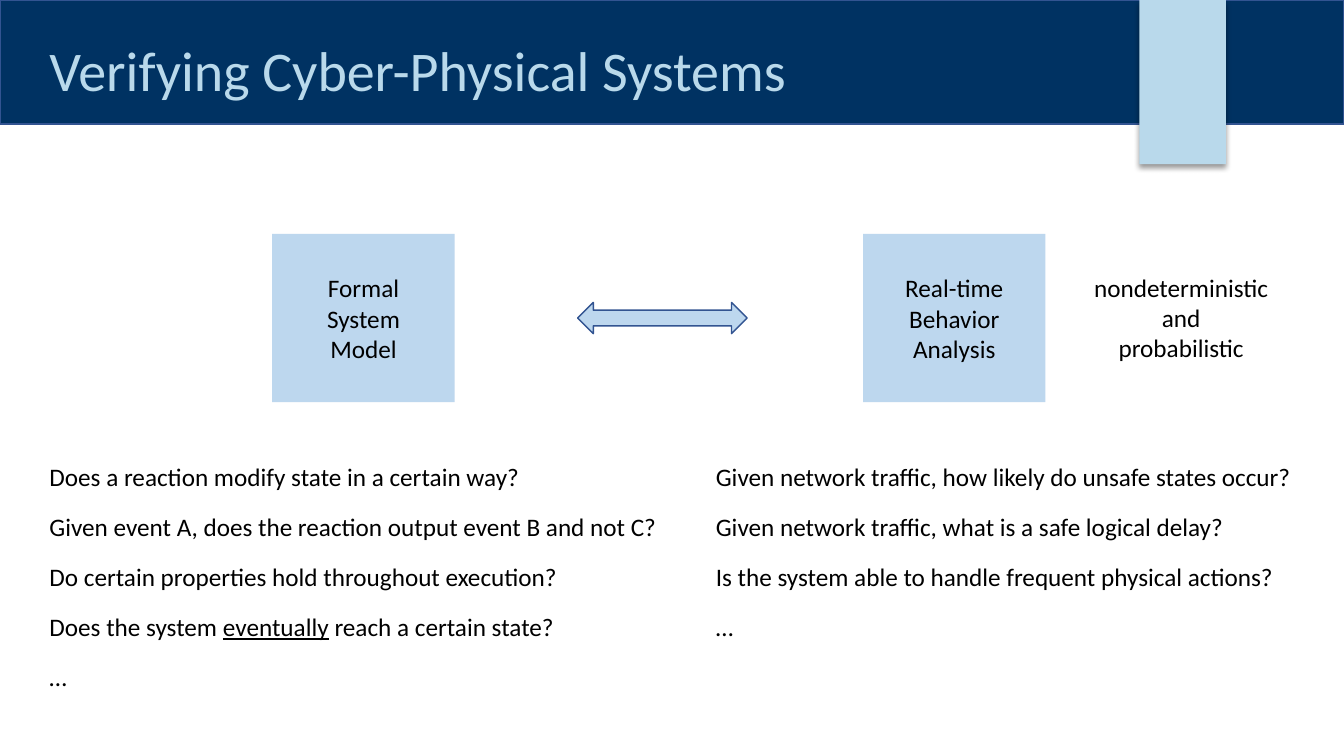
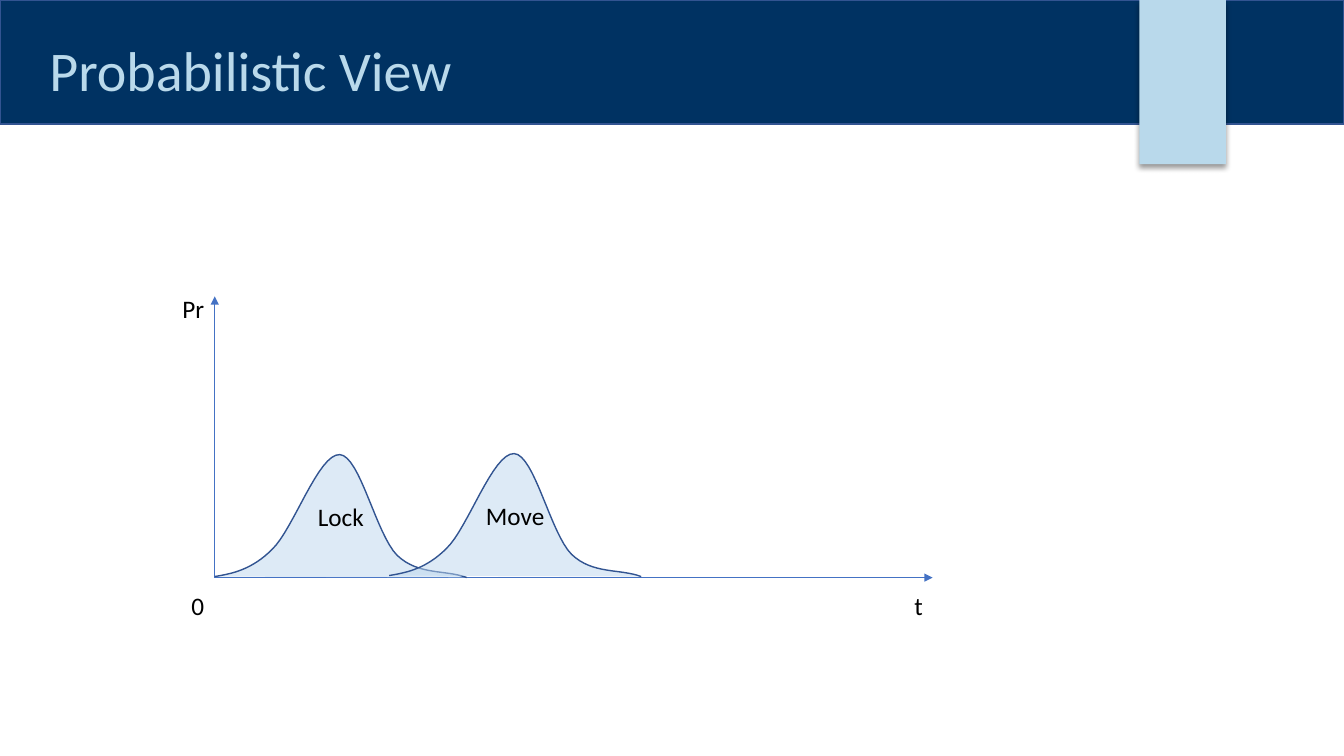
"""Build two slides on verifying cyber-physical systems."""
from dataclasses import dataclass

from lxml.etree import SubElement as Sub
from pptx import Presentation
from pptx.dml.color import RGBColor as Rgb
from pptx.enum.shapes import MSO_CONNECTOR as Link, MSO_SHAPE as Kind
from pptx.enum.text import MSO_ANCHOR as Anchor, MSO_AUTO_SIZE as Fit, PP_ALIGN as Align
from pptx.oxml.ns import qn
from pptx.util import Inches, Pt


@dataclass(frozen=True)
class Theme:
    font: str = "Calibri"
    navy: str = "003262"
    sky: str = "B9D9EB"
    pale: str = "BDD7EE"
    edge: str = "325491"
    axis: str = "4472C4"
    ink: str = "000000"
    head: int = 40
    text: int = 18
    gap: int = 14


THEME = Theme()
TWO_LISTS, TITLE_ONLY = 3, 5

VERIFY = "Verifying Cyber-Physical Systems"
BOXES = [
    (2.7, ["Formal", "System", "Model"]),
    (8.56, ["Real-time", "Behavior", "Analysis"]),
]
ASIDE = ["nondeterministic", "and", "probabilistic"]
LISTS = [
    (0.39, 6.6, [
        "Does a reaction modify state in a certain way?",
        "Given event A, does the reaction output event B and not C?",
        "Do certain properties hold throughout execution?",
        "Does the system _eventually_ reach a certain state?",
        "…",
    ]),
    (7, 6.3, [
        "Given network traffic, how likely do unsafe states occur?",
        "Given network traffic, what is a safe logical delay?",
        "Is the system able to handle frequent physical actions?",
        "…",
    ]),
]

VIEW = "Probabilistic View"
ORIGIN = (2.13, 5.73)
TIPS = [(2.13, 2.94), (9.25, 5.73)]
MARKS = [("Pr", 1.71, 2.86, 0.42), ("t", 8.97, 5.81, 0.29), ("0", 1.8, 5.81, 0.33)]
BELLS = [("Lock", 2.13, 5.72), ("Move", 3.86, 5.71)]
CURVE = [
    (0, 0), (0.18, -0.03), (0.37, -0.07), (0.57, -0.27),
    (0.78, -0.47), (1.03, -1.22), (1.24, -1.21),
    (1.44, -1.2), (1.6, -0.42), (1.81, -0.21),
    (2.02, -0.01), (2.29, -0.07), (2.5, 0.01),
]
STEPS = 16


def color(code):
    return Rgb.from_string(code)


def place(shape, left, top, width, height):
    shape.left, shape.top = Inches(left), Inches(top)
    shape.width, shape.height = Inches(width), Inches(height)


def write(shape, lines, size=THEME.text, ink=THEME.ink, align=Align.LEFT,
          anchor=Anchor.TOP, wrap=True, space=None, after=0):
    """Fill a shape with lines; underscores enclose underlined words."""
    frame = shape.text_frame
    frame.word_wrap, frame.auto_size = wrap, Fit.NONE
    frame.vertical_anchor = anchor
    for row, line in enumerate(lines):
        para = frame.add_paragraph() if row else frame.paragraphs[0]
        para.alignment, para.line_spacing = align, space
        para.space_before, para.space_after = Pt(0), Pt(after)
        for part, words in enumerate(line.split("_")):
            run = para.add_run()
            run.text = words
            font = run.font
            font.name, font.size = THEME.font, Pt(size)
            font.color.rgb = color(ink)
            if part % 2:
                font.underline = True


def paint(shape, fill, edge=None):
    shape.shadow.inherit = False
    shape.fill.solid()
    shape.fill.fore_color.rgb = color(fill)
    if edge:
        shape.line.color.rgb = color(edge)
        shape.line.width = Pt(1)
    else:
        shape.line.fill.background()
    return shape


def block(slide, kind, area, fill, edge=None):
    return paint(slide.shapes.add_shape(kind, *map(Inches, area)), fill, edge)


def label(slide, area, lines, **style):
    write(slide.shapes.add_textbox(*map(Inches, area)), lines, wrap=False, **style)


def shade(shape):
    glow = shape.element.spPr.find(qn("a:effectLst"))
    drop = Sub(glow, qn("a:outerShdw"), blurRad=str(Pt(4)), dist=str(Pt(3)),
               dir="5400000", algn="t", rotWithShape="0")
    tint = Sub(drop, qn("a:srgbClr"), val=THEME.ink)
    Sub(tint, qn("a:alpha"), val="40000")


def start(deck, layout, title):
    slide = deck.slides.add_slide(deck.slide_layouts[layout])
    head = slide.shapes.title
    place(head, 0.39, 0.15, 10.51, 0.93)
    write(head, [title], size=THEME.head, ink=THEME.sky, anchor=Anchor.BOTTOM, space=0.9)
    band = block(slide, Kind.RECTANGLE, (0, 0, 13.33, 1.23), THEME.navy, THEME.edge)
    head.element.addprevious(band.element)
    shade(block(slide, Kind.RECTANGLE, (11.3, 0, 0.86, 1.63), THEME.sky))
    return slide


def bare(shape):
    for prop in shape.element.iter(qn("a:pPr")):
        prop.set("marL", "0")
        prop.set("indent", "0")
        Sub(prop, qn("a:buNone"))


def arrow(slide, tip):
    line = slide.shapes.add_connector(Link.STRAIGHT, *map(Inches, ORIGIN + tip))
    line.line.color.rgb = color(THEME.axis)
    line.line.width = Pt(0.5)
    props = line.element.spPr
    Sub(props.find(qn("a:ln")), qn("a:tailEnd"), type="triangle")
    Sub(props, qn("a:effectLst"))


def trace(points):
    """Sample a chain of cubic curves."""
    for first in range(0, len(points) - 1, 3):
        knots = points[first:first + 4]
        for step in range(1, STEPS + 1):
            t = step / STEPS
            parts = ((1 - t) ** 3, 3 * t * (1 - t) ** 2, 3 * t * t * (1 - t), t ** 3)
            yield tuple(sum(w * k[i] for w, k in zip(parts, knots)) for i in (0, 1))


def bell(slide, name, left, base):
    pen = slide.shapes.build_freeform(Inches(left), Inches(base))
    pen.add_line_segments(
        [(Inches(left + x), Inches(base + y)) for x, y in trace(CURVE)], close=False)
    hill = paint(pen.convert_to_shape(), THEME.pale, THEME.edge)
    tint = hill.element.spPr.find(qn("a:solidFill")).find(qn("a:srgbClr"))
    Sub(tint, qn("a:alpha"), val="50000")
    write(hill, [name], align=Align.CENTER, anchor=Anchor.MIDDLE)


def verify(deck):
    slide = start(deck, TWO_LISTS, VERIFY)
    for left, lines in BOXES:
        box = block(slide, Kind.RECTANGLE, (left, 2.32, 1.81, 1.67), THEME.pale)
        write(box, lines, align=Align.CENTER, anchor=Anchor.MIDDLE)
    bodies = [item for item in slide.placeholders if item.placeholder_format.idx]
    for body, (left, width, lines) in zip(bodies, LISTS):
        place(body, left, 4.53, width, 2.45)
        write(body, lines, after=THEME.gap)
        bare(body)
    label(slide, (10.71, 2.65, 2.01, 1.01), ASIDE, align=Align.CENTER)
    block(slide, Kind.LEFT_RIGHT_ARROW, (5.73, 3, 1.68, 0.31), THEME.pale, THEME.edge)


def view(deck):
    slide = start(deck, TITLE_ONLY, VIEW)
    for tip in TIPS:
        arrow(slide, tip)
    for name, left, base in BELLS:
        bell(slide, name, left, base)
    for name, left, top, width in MARKS:
        label(slide, (left, top, width, 0.4), [name])


def main():
    deck = Presentation()
    deck.slide_width, deck.slide_height = Inches(13.33), Inches(7.5)
    verify(deck)
    view(deck)
    deck.save("out.pptx")


if __name__ == "__main__":
    main()
